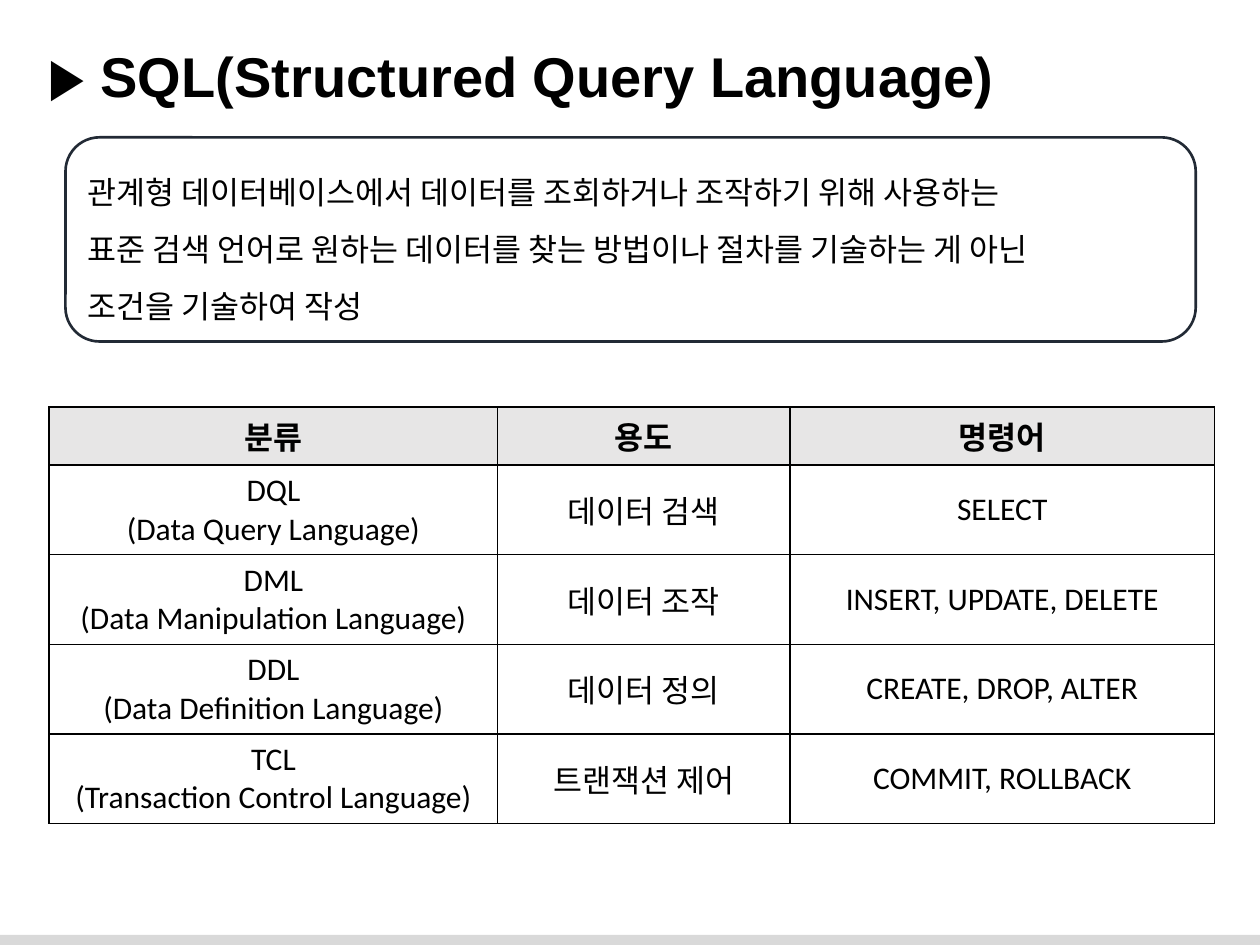
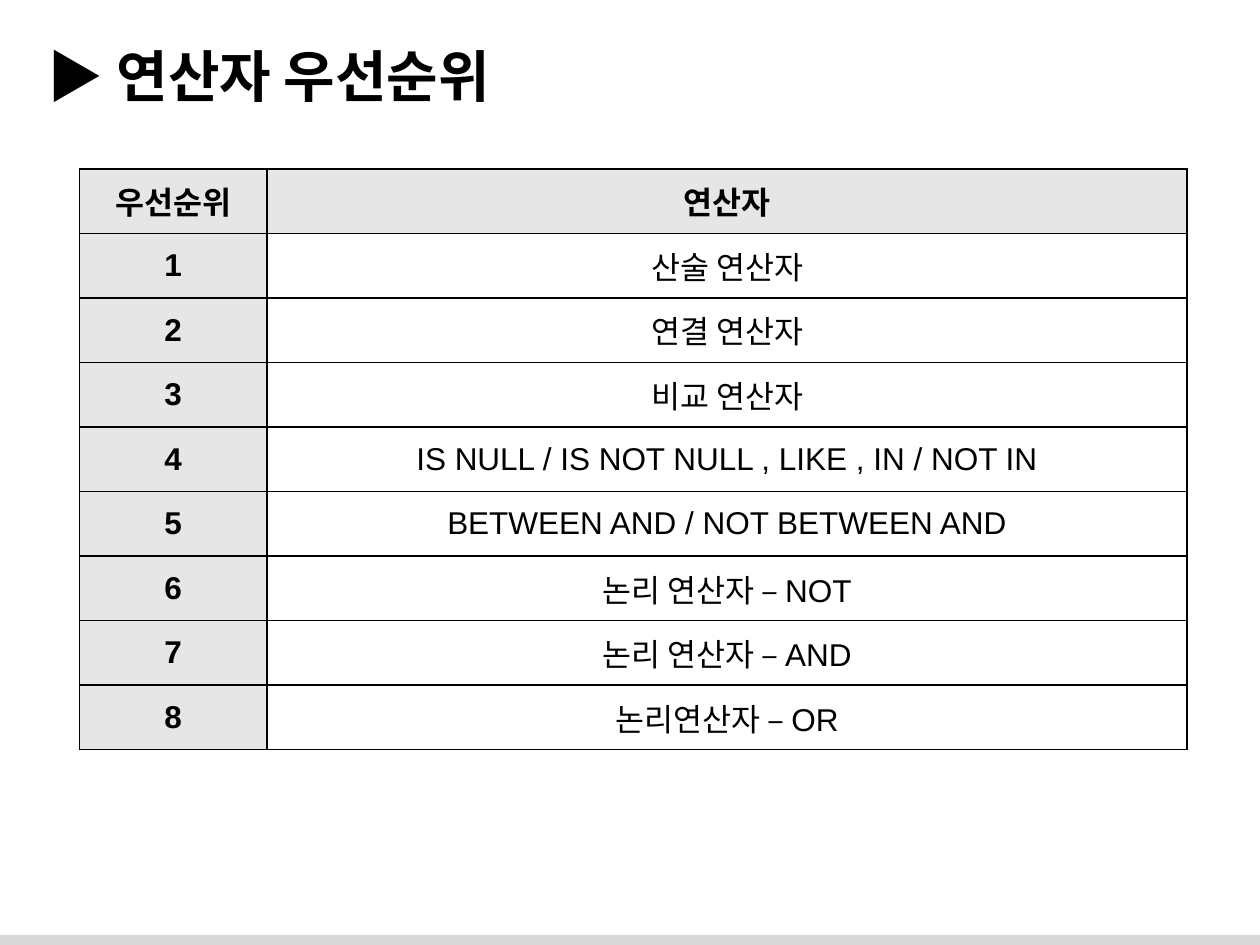
from lxml.etree import SubElement
from pptx import Presentation
from pptx.dml.color import RGBColor
from pptx.enum.shapes import MSO_SHAPE as SHAPE
from pptx.enum.text import MSO_ANCHOR as ANCHOR, PP_ALIGN as ALIGN
from pptx.oxml.ns import qn
from pptx.util import Inches, Pt

COLORS = {
    "text": "000000",
    "band": "D9D9D9",
    "head": "E7E6E6",
    "outline": "222A35",
    "border": "000000",
}
TITLE_ONLY = 5


def rgb(name):
    """Return the named colour."""
    return RGBColor.from_string(COLORS[name])


def set_all(obj, values):
    """Set every attribute in a dict of format values."""
    for name, value in values.items():
        setattr(obj, name, value)


class Deck:
    """The shared style and the slide being built."""

    def __init__(self):
        self.prs = Presentation()
        set_all(self.prs, {"slide_width": Inches(10), "slide_height": Inches(7.5)})
        self.layout = self.prs.slide_layouts[TITLE_ONLY]
        self.slide = None
        self.has_band = False

    def new_slide(self, title):
        """Start a slide with a marked title."""
        self.slide = self.prs.slides.add_slide(self.layout)
        if not self.has_band:
            self.add_band()
        sp = self.slide.shapes.title
        self.place(sp, 0.28, 0.28, 9.45, 0.64)
        self.add_text(sp.text_frame, "▶ " + title, size=32, bold=True, anchor=ANCHOR.TOP)

    def add_band(self):
        """Put the grey bottom band on the layout, behind all slides."""
        sp = self.add_shape(SHAPE.RECTANGLE, -0.02, 7.42, 10.04, 0.11)
        sp.fill.solid()
        sp.fill.fore_color.rgb = rgb("band")
        sp.line.fill.background()
        sp.element.nvSpPr.cNvPr.set("id", "20")
        self.layout.shapes.element.insert(2, sp.element)
        self.has_band = True

    def place(self, sp, left, top, width, height):
        """Move and size a shape, in inches."""
        set_all(sp, {"left": Inches(left), "top": Inches(top),
                     "width": Inches(width), "height": Inches(height)})

    def add_shape(self, kind, left, top, width, height):
        """Add a preset shape without a shadow."""
        sp = self.slide.shapes.add_shape(
            kind, Inches(left), Inches(top), Inches(width), Inches(height))
        sp.shadow.inherit = False
        return sp

    def add_text(self, tf, text, size=18, font="Arial", bold=False,
                 align=ALIGN.LEFT, anchor=ANCHOR.MIDDLE, spacing=1.0):
        """Fill a text frame, one paragraph per line of text."""
        tf.text = text
        set_all(tf, {"word_wrap": True, "vertical_anchor": anchor})
        for p in tf.paragraphs:
            set_all(p, {"alignment": align, "line_spacing": spacing})
            for r in p.runs:
                set_all(r.font, {"name": font, "size": Pt(size), "bold": bold})
                r.font.color.rgb = rgb("text")

    def add_note_box(self, text, left, top, width, height):
        """Add an outlined rounded box with widely spaced lines."""
        sp = self.add_shape(SHAPE.ROUNDED_RECTANGLE, left, top, width, height)
        sp.fill.background()
        sp.line.color.rgb = rgb("outline")
        sp.line.width = Pt(1.5)
        self.add_text(sp.text_frame, text, spacing=1.5)

    def add_table(self, rows, left, top, widths, heights, font, head_column=False):
        """Add a bordered table with a grey head row and perhaps column."""
        table = self.slide.shapes.add_table(
            len(rows), len(widths), Inches(left), Inches(top),
            Inches(sum(widths)), Inches(sum(heights))).table
        table.horz_banding = False
        for column, width in zip(table.columns, widths):
            column.width = Inches(width)
        for i, (row, height) in enumerate(zip(rows, heights)):
            table.rows[i].height = Inches(height)
            for j, text in enumerate(row):
                is_head = i == 0 or (head_column and j == 0)
                self.format_cell(table.cell(i, j), text, font, is_head)

    def format_cell(self, cell, text, font, is_head):
        """Fill and border one table cell and set its text."""
        self.add_text(cell.text_frame, text, font=font, bold=is_head, align=ALIGN.CENTER)
        # A cell's text frame leaves wrap and anchor to the cell itself.
        cell.vertical_anchor = ANCHOR.MIDDLE
        tc_pr = cell._tc.get_or_add_tcPr()
        for side in ("lnL", "lnR", "lnT", "lnB"):
            ln = SubElement(tc_pr, qn("a:" + side), w=str(Pt(1)))
            fill = SubElement(ln, qn("a:solidFill"))
            SubElement(fill, qn("a:srgbClr"), val=COLORS["border"])
        if is_head:
            cell.fill.solid()
            cell.fill.fore_color.rgb = rgb("head")
        else:
            cell.fill.background()


def build_sql_slide(deck):
    """Explain SQL and list its command groups."""
    deck.new_slide("SQL(Structured Query Language)")
    deck.add_note_box(
        "관계형 데이터베이스에서 데이터를 조회하거나 조작하기 위해 사용하는\n"
        "표준 검색 언어로 원하는 데이터를 찾는 방법이나 절차를 기술하는 게 아닌\n"
        "조건을 기술하여 작성",
        0.52, 1.09, 8.97, 1.62)
    rows = [
        ("분류", "용도", "명령어"),
        ("DQL\n(Data Query Language)", "데이터 검색", "SELECT"),
        ("DML\n(Data Manipulation Language)", "데이터 조작", "INSERT, UPDATE, DELETE"),
        ("DDL\n(Data Definition Language)", "데이터 정의", "CREATE, DROP, ALTER"),
        ("TCL\n(Transaction Control Language)", "트랜잭션 제어", "COMMIT, ROLLBACK"),
    ]
    deck.add_table(rows, 0.39, 3.23, [3.56, 2.32, 3.37], [0.41] + [0.7] * 4, "Calibri")


def build_precedence_slide(deck):
    """Rank the operators by precedence."""
    deck.new_slide("연산자 우선순위")
    operators = [
        "산술 연산자",
        "연결 연산자",
        "비교 연산자",
        "IS NULL / IS NOT NULL , LIKE , IN / NOT IN",
        "BETWEEN AND / NOT BETWEEN AND",
        "논리 연산자 – NOT",
        "논리 연산자 – AND",
        "논리연산자 – OR",
    ]
    rows = [("우선순위", "연산자")]
    rows += [(str(rank), name) for rank, name in enumerate(operators, 1)]
    heights = [4.61 / len(rows)] * len(rows)
    deck.add_table(rows, 0.63, 1.34, [1.49, 7.3], heights, "Arial", head_column=True)


deck = Deck()
build_sql_slide(deck)
build_precedence_slide(deck)
deck.prs.save("out.pptx")
